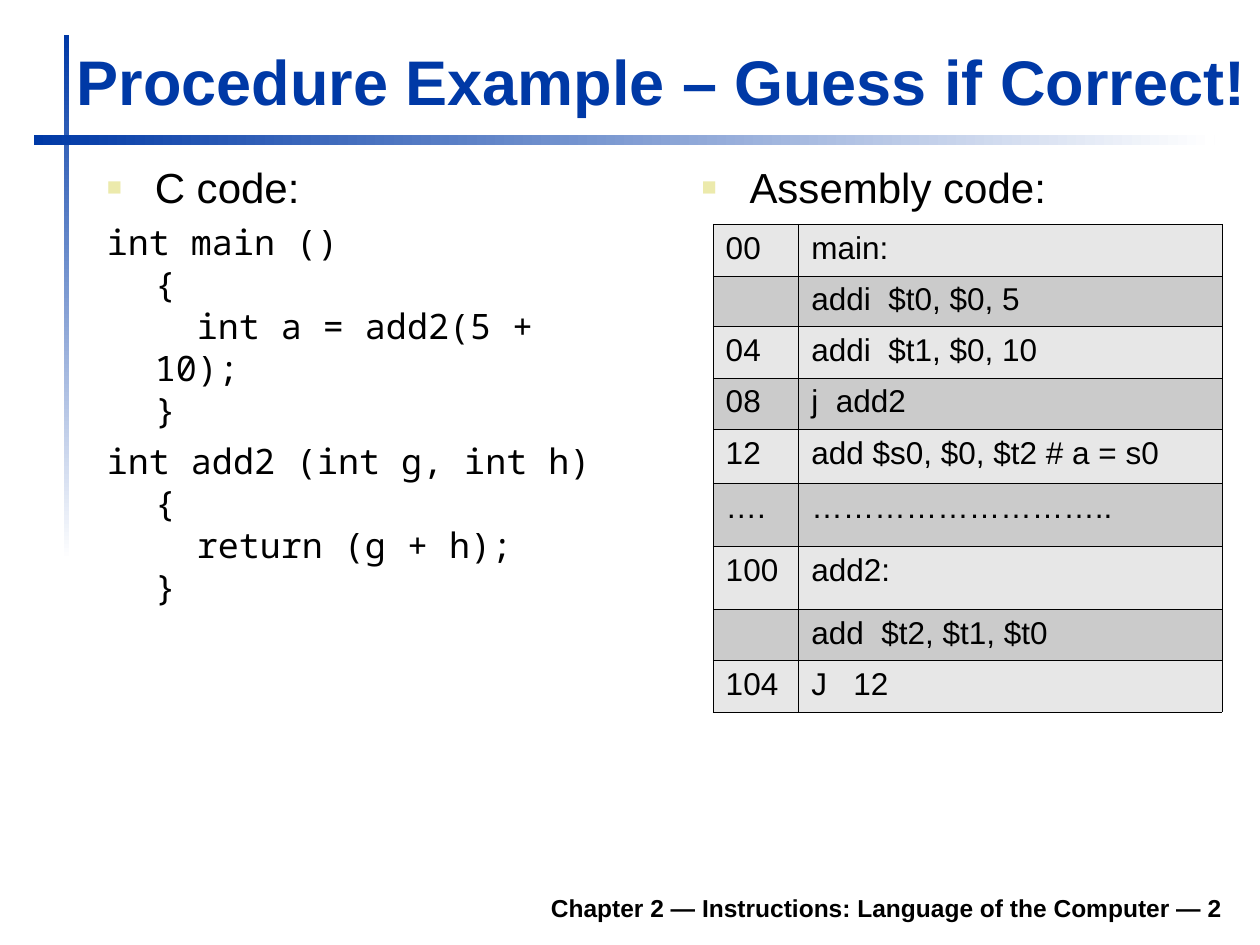
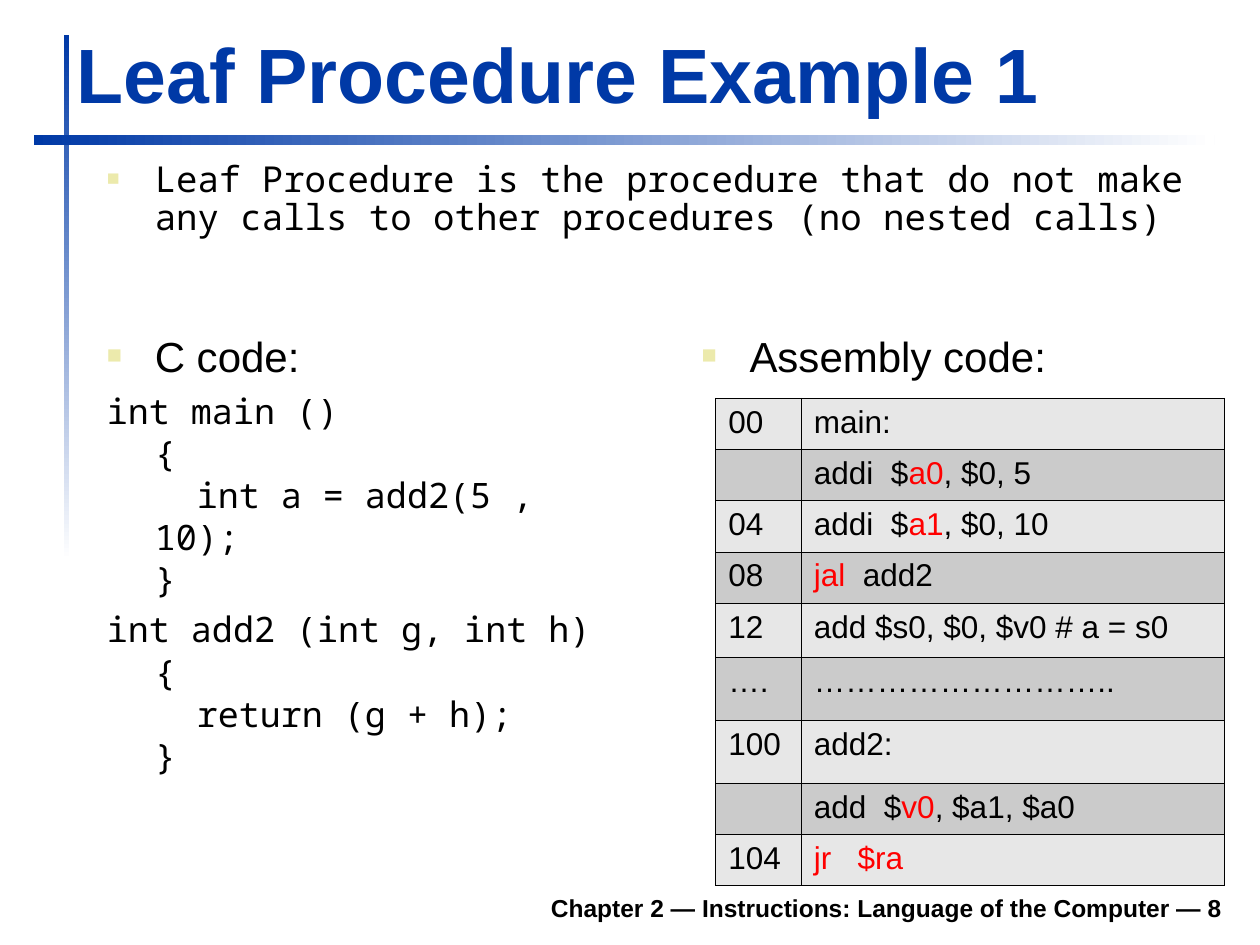
from lxml.etree import SubElement
from pptx import Presentation
from pptx.dml.color import RGBColor
from pptx.enum.shapes import MSO_SHAPE as SHAPE
from pptx.enum.text import MSO_ANCHOR as ANCHOR, MSO_AUTO_SIZE as AUTO, PP_ALIGN as ALIGN
from pptx.oxml.ns import qn
from pptx.util import Inches, Pt

BLUE = RGBColor(0x00, 0x39, 0xA6)
WHITE = RGBColor(0xFF, 0xFF, 0xFF)
BLACK = RGBColor(0x00, 0x00, 0x00)
RED = RGBColor(0xFF, 0x00, 0x00)
BULLET = RGBColor(0xEC, 0xEA, 0xAC)
ROW_FILLS = (RGBColor(0xE7, 0xE7, 0xE7), RGBColor(0xCB, 0xCB, 0xCB))

SANS, MONO = "Arial", "Noto Sans Mono"
HEADING = dict(name=SANS, size=Pt(24), color=BLACK)
CODE = dict(name=MONO, size=Pt(20), color=BLACK)
NOTE = dict(name=MONO, size=Pt(20.4), color=BLACK)
CELL = dict(name=SANS, size=Pt(18), color=BLACK)
FOOTER = dict(name=SANS, size=Pt(14), color=BLACK, bold=True)

COL_WIDTHS = (0.68, 3.36)
ROW_HEIGHTS = (0.41, 0.4, 0.41, 0.41, 0.43, 0.5, 0.5, 0.4, 0.41)
ADDRESSES = ("00", "", "04", "08", "12", "….", "100", "", "104")
DOTS = "……………………….."


def set_font(font, style):
    for key, value in style.items():
        if key == "color":
            font.color.rgb = value
        else:
            setattr(font, key, value)


class Deck:
    """Holds the shared style and the current slide."""

    def __init__(self):
        self.prs = Presentation()
        self.prs.slide_width, self.prs.slide_height = Inches(10), Inches(7.5)
        self.s = None

    def new_slide(self, title, size, top, number):
        self.s = self.prs.slides.add_slide(self.prs.slide_layouts[5])
        self.band((0.51, 0.28, 0.04, 4.17), 270)
        self.band((0.27, 1.07, 9.37, 0.08), 0)
        self.title(title, size, top)
        tf = self.box((1.85, 6.98, 7.95, 0.39))
        tf.vertical_anchor = ANCHOR.BOTTOM
        p = tf.paragraphs[0]
        p.text = f"Chapter 2 — Instructions: Language of the Computer — {number}"
        p.alignment = ALIGN.RIGHT
        set_font(p.runs[0].font, FOOTER)

    def band(self, at, angle):
        sp = self.s.shapes.add_shape(SHAPE.RECTANGLE, *map(Inches, at))
        sp.shadow.inherit = False
        sp.line.fill.background()
        sp.fill.gradient()
        sp.fill.gradient_angle = angle
        for stop, color in zip(sp.fill.gradient_stops, (BLUE, WHITE)):
            stop.color.rgb = color

    def title(self, text, size, top):
        sp = self.s.shapes.title
        sp.left, sp.top = Inches(0.51), Inches(top)
        sp.width, sp.height = Inches(9.68), Inches(0.99 - top)
        tf = sp.text_frame
        tf.text = text
        tf.auto_size, tf.vertical_anchor, tf.word_wrap = AUTO.NONE, ANCHOR.BOTTOM, True
        p = tf.paragraphs[0]
        p.alignment = ALIGN.LEFT
        set_font(p.runs[0].font, dict(name=SANS, size=Pt(size), color=BLUE, bold=True))

    def box(self, at):
        tf = self.s.shapes.add_textbox(*map(Inches, at)).text_frame
        tf.word_wrap = True
        return tf

    def hang(self, p, text, style, bullet=False):
        pPr = p._p.get_or_add_pPr()
        pPr.set("marL", str(Inches(0.38)))
        pPr.set("indent", str(-Inches(0.38)))
        if bullet:
            color = SubElement(pPr, qn("a:buClr"))
            SubElement(color, qn("a:srgbClr"), val=str(BULLET))
            SubElement(pPr, qn("a:buSzPct"), val="60000")
            SubElement(pPr, qn("a:buFont"), typeface=SANS)
            SubElement(pPr, qn("a:buChar"), char="■")
        p.text = text
        for r in p.runs:
            set_font(r.font, style)

    def listing(self, at, heading, blocks=()):
        tf = self.box(at)
        self.hang(tf.paragraphs[0], heading, HEADING, bullet=True)
        for block in blocks:
            p = tf.add_paragraph()
            self.hang(p, block, CODE)
            p.space_before = Pt(5)

    def note(self, at, text):
        p = self.box(at).paragraphs[0]
        self.hang(p, text, NOTE, bullet=True)
        p.line_spacing = 0.9

    def cell(self, cell, text, fill):
        tcPr = cell._tc.get_or_add_tcPr()
        for side in ("lnL", "lnR", "lnT", "lnB"):
            ln = SubElement(tcPr, qn(f"a:{side}"), w=str(Pt(0.45)))
            SubElement(SubElement(ln, qn("a:solidFill")), qn("a:srgbClr"), val=str(BLACK))
        cell.fill.solid()
        cell.fill.fore_color.rgb = fill
        # Every second part between bars is red
        for i, part in enumerate(text.split("|")):
            if part:
                r = cell.text_frame.paragraphs[0].add_run()
                r.text = part
                set_font(r.font, {**CELL, "color": RED if i % 2 else BLACK})

    def assembly(self, left, top, instructions):
        at = (left, top, sum(COL_WIDTHS), sum(ROW_HEIGHTS))
        tbl = self.s.shapes.add_table(len(ROW_HEIGHTS), 2, *map(Inches, at)).table
        tbl.first_row = tbl.horz_banding = False
        for col, width in zip(tbl.columns, COL_WIDTHS):
            col.width = Inches(width)
        for i, texts in enumerate(zip(ADDRESSES, instructions)):
            tbl.rows[i].height = Inches(ROW_HEIGHTS[i])
            for j, text in enumerate(texts):
                self.cell(tbl.cell(i, j), text, ROW_FILLS[i % 2])

    def code_columns(self, top, arguments):
        height = 6.82 - top
        blocks = (f"int main ()\n{{\n  int a = add2({arguments});\n}}",
                  "int add2 (int g, int h)\n{\n  return (g + h);\n}")
        self.listing((0.75, top, 4.41, height), "C code:", blocks)
        self.listing((5.47, top, 4.41, height), "Assembly code:")


def main():
    deck = Deck()

    # Jump without a return address
    deck.new_slide("Procedure Example – Guess if Correct!", 36, 0.29, 2)
    deck.code_columns(1.23, "5 + 10")
    deck.assembly(5.66, 1.78, (
        "main:", "addi  $t0, $0, 5", "addi  $t1, $0, 10", "j  add2",
        "add $s0, $0, $t2 # a = s0", DOTS, "add2:", "add  $t2, $t1, $t0", "J   12"))

    # Leaf procedure with jal and jr
    deck.new_slide("Leaf Procedure Example 1", 44, 0.15, 8)
    deck.code_columns(2.57, "5 , 10")
    deck.assembly(5.68, 3.16, (
        "main:", "addi  $|a0|, $0, 5", "addi  $|a1|, $0, 10", "|jal|  add2",
        "add $s0, $0, $v0 # a = s0", DOTS, "add2:", "add  $|v0|, $a1, $a0", "|jr   $ra"))
    deck.note((0.75, 1.23, 8.95, 1.18),
              "Leaf Procedure is the procedure that do not make any calls "
              "to other procedures (no nested calls)")

    deck.prs.save("out.pptx")


if __name__ == "__main__":
    main()
